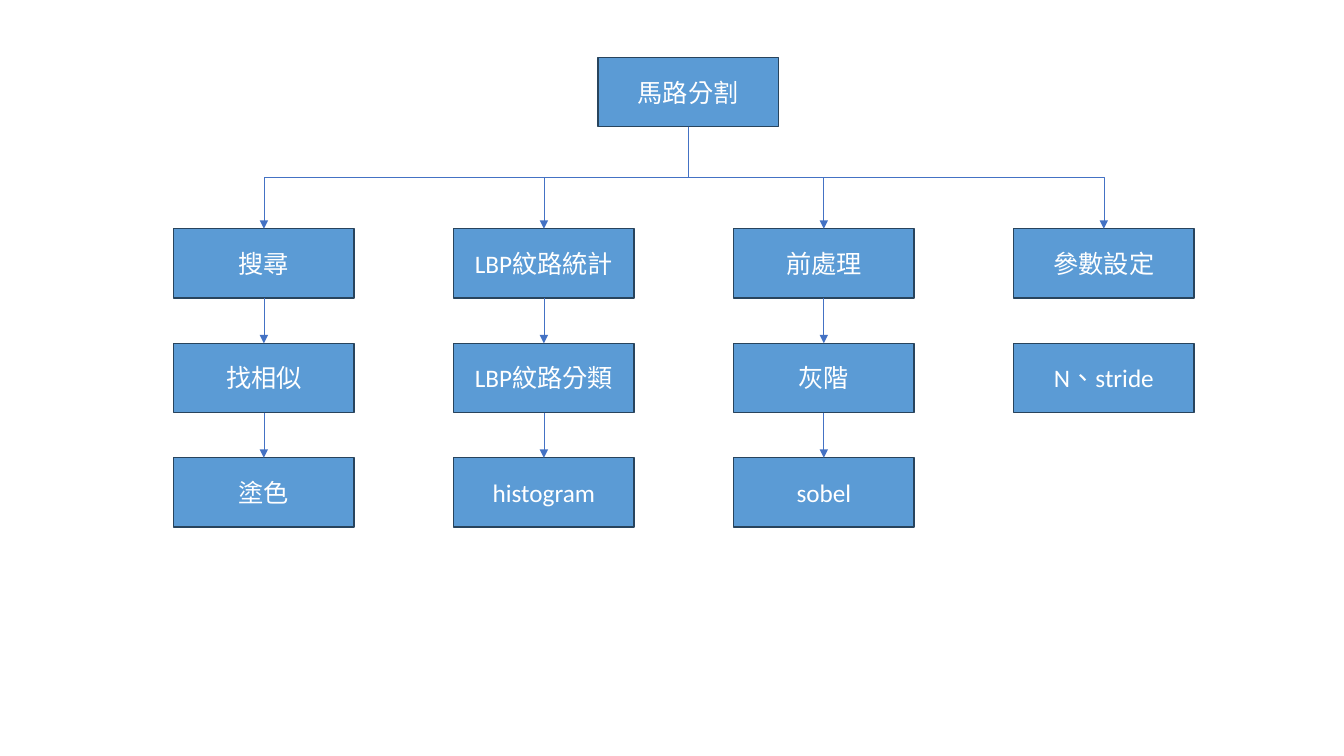
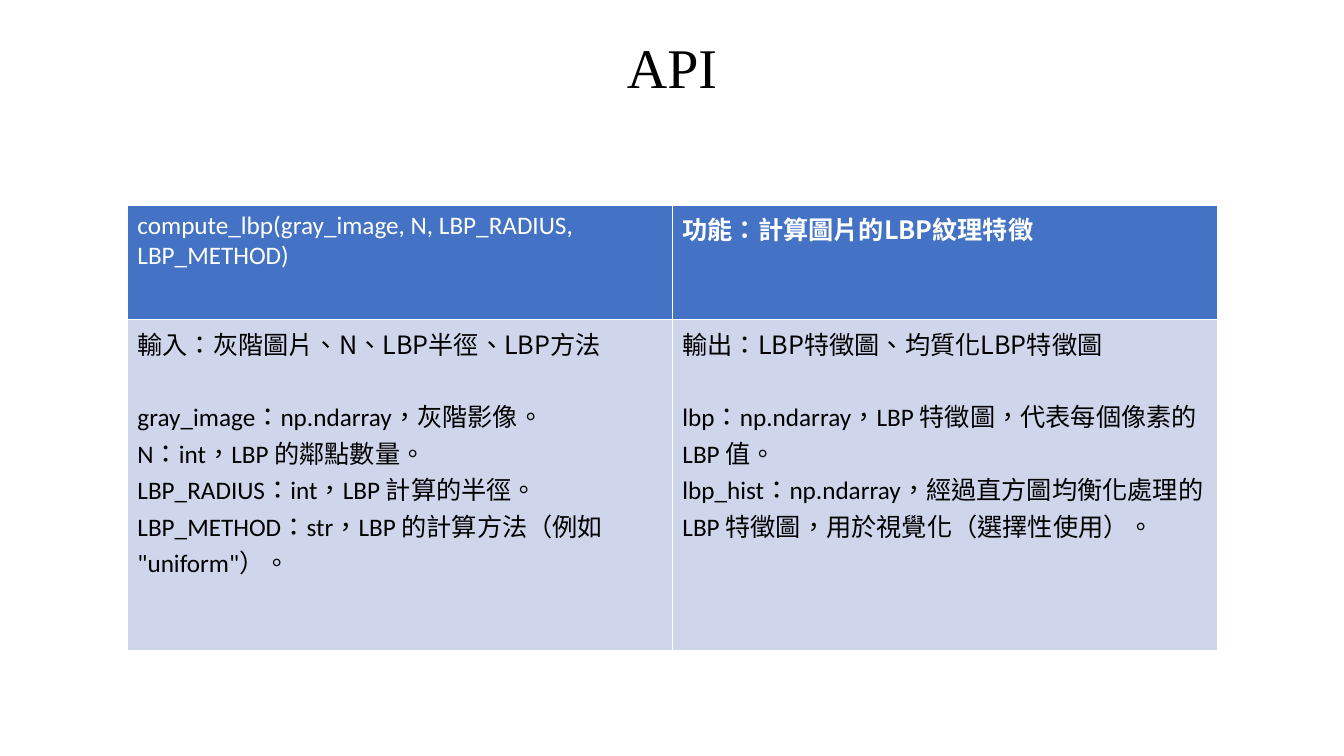
from lxml import etree
from pptx import Presentation
from pptx.dml.color import RGBColor
from pptx.enum import shapes, text
from pptx.oxml import ns
from pptx.util import Pt

WHITE = RGBColor(0xFF, 0xFF, 0xFF)
BLACK = RGBColor(0, 0, 0)
BOX_FILL = RGBColor(0x5B, 0x9B, 0xD5)
BOX_LINE = RGBColor(0x28, 0x44, 0x5D)
BLUE = RGBColor(0x44, 0x72, 0xC4)
PALE_BLUE = RGBColor(0xCF, 0xD5, 0xEA)

BODY_FONT, CJK_FONT, TITLE_FONT = "Calibri", "Noto Sans CJK SC", "Times New Roman"
BODY_SIZE = 18
BOX_WIDTH, BOX_HEIGHT = 129, 49.5
TOP_SITE, BOTTOM_SITE = 0, 2

# Each column: its box texts from top to bottom, and whether arrows join them
COLUMNS = [
    (["搜尋", "找相似", "塗色"], True),
    (["LBP紋路統計", "LBP紋路分類", "histogram"], True),
    (["前處理", "灰階", "sobel"], True),
    (["參數設定", "N、stride"], False),
]

# Each cell: paragraphs of (text, Latin font)
HEADER_CELLS = [
    [("compute_lbp(gray_image, N, LBP_RADIUS, LBP_METHOD)", BODY_FONT)],
    [("功能：計算圖片的LBP紋理特徵", CJK_FONT)],
]
DETAIL_CELLS = [
    [
        ("輸入：灰階圖片、N、LBP半徑、LBP方法", CJK_FONT),
        ("gray_image：np.ndarray，灰階影像。", BODY_FONT),
        ("N：int，LBP 的鄰點數量。", BODY_FONT),
        ("LBP_RADIUS：int，LBP 計算的半徑。", BODY_FONT),
        ("LBP_METHOD：str，LBP 的計算方法（例如 \"uniform\"）。", BODY_FONT),
    ],
    [
        ("輸出：LBP特徵圖、均質化LBP特徵圖", CJK_FONT),
        ("lbp：np.ndarray，LBP 特徵圖，代表每個像素的 LBP 值。", BODY_FONT),
        ("lbp_hist：np.ndarray，經過直方圖均衡化處理的 LBP 特徵圖，"
         "用於視覺化（選擇性使用）。", BODY_FONT),
    ],
]


def format_paragraph(paragraph, color, name=BODY_FONT, size=BODY_SIZE, bold=False):
    font = paragraph.font
    font.name, font.size, font.bold = name, Pt(size), bold
    font.color.rgb = color
    # East Asian font and language
    properties = paragraph._p.get_or_add_pPr().get_or_add_defRPr()
    properties.set("lang", "zh-TW")
    etree.SubElement(properties, ns.qn("a:ea"), typeface=CJK_FONT)


def add_box(slide, left, top, label):
    box = slide.shapes.add_shape(shapes.MSO_SHAPE.RECTANGLE, Pt(left), Pt(top),
                                 Pt(BOX_WIDTH), Pt(BOX_HEIGHT))
    box.shadow.inherit = False
    box.fill.solid()
    box.fill.fore_color.rgb = BOX_FILL
    box.line.color.rgb = BOX_LINE
    box.line.width = Pt(1)
    frame = box.text_frame
    frame.word_wrap = True
    frame.vertical_anchor = text.MSO_ANCHOR.MIDDLE
    paragraph = frame.paragraphs[0]
    paragraph.text = label
    paragraph.alignment = text.PP_ALIGN.CENTER
    format_paragraph(paragraph, WHITE)
    return box


def add_arrow(slide, upper, lower, kind):
    arrow = slide.shapes.add_connector(kind, 0, 0, 0, 0)
    arrow.begin_connect(upper, BOTTOM_SITE)
    arrow.end_connect(lower, TOP_SITE)
    arrow.line.color.rgb = BLUE
    arrow.line.width = Pt(0.5)
    line = arrow.line._get_or_add_ln()
    etree.SubElement(line, ns.qn("a:tailEnd"), type="triangle")
    etree.SubElement(arrow._element.spPr, ns.qn("a:effectLst"))
    return arrow


def add_branch(slide, root, child):
    """Elbow that leaves the root downwards: a quarter-turned elbow connector."""
    branch = add_arrow(slide, root, child, shapes.MSO_CONNECTOR.ELBOW)
    start_x = root.left + root.width // 2
    end_x = child.left + child.width // 2
    start_y, end_y = root.top + root.height, child.top
    drop, spread = end_y - start_y, abs(end_x - start_x)
    branch.left = (start_x + end_x - drop) // 2
    branch.top = (start_y + end_y - spread) // 2
    branch.width, branch.height = drop, spread
    to_right = end_x > start_x
    transform = branch._element.spPr.find(ns.qn("a:xfrm"))
    transform.set("rot", str((270 if to_right else 90) * 60000))
    transform.set("flipH", "1" if to_right else "0")


def add_column(slide, left, top, row_step, labels, joined):
    boxes = [add_box(slide, left, top + row * row_step, label)
             for row, label in enumerate(labels)]
    if joined:
        for upper, lower in zip(boxes, boxes[1:]):
            add_arrow(slide, upper, lower, shapes.MSO_CONNECTOR.STRAIGHT)
    return boxes[0]


def add_breakdown_slide(presentation, left=124, top=41, column_step=200, row_step=81.8):
    slide = presentation.slides.add_slide(presentation.slide_layouts[6])
    root = add_box(slide, left + 303, top, "馬路分割")
    for index, (labels, joined) in enumerate(COLUMNS):
        head = add_column(slide, left + index * column_step, top + 122.4,
                          row_step, labels, joined)
        add_branch(slide, root, head)


def fill_cell(cell, paragraphs, fill, color, bold=False):
    cell.fill.solid()
    cell.fill.fore_color.rgb = fill
    frame = cell.text_frame
    for index, (content, name) in enumerate(paragraphs):
        paragraph = frame.add_paragraph() if index else frame.paragraphs[0]
        paragraph.text = content
        format_paragraph(paragraph, color, name, bold=bold)
    # Gap between the summary line and the details
    if len(paragraphs) > 1:
        frame.paragraphs[0].space_after = Pt(26)


def add_title(slide, left, top, width, height, content):
    title = slide.shapes.title
    title.left, title.top, title.width, title.height = map(Pt, (left, top, width, height))
    frame = title.text_frame
    frame.auto_size = text.MSO_AUTO_SIZE.NONE
    frame.vertical_anchor = text.MSO_ANCHOR.TOP
    paragraph = frame.paragraphs[0]
    paragraph.text = content
    paragraph.alignment = text.PP_ALIGN.CENTER
    format_paragraph(paragraph, BLACK, TITLE_FONT, 40)


def add_function_table(slide, left, top, width, row_heights):
    table = slide.shapes.add_table(2, 2, Pt(left), Pt(top), Pt(width),
                                   Pt(sum(row_heights))).table
    for row, height in zip(table.rows, row_heights):
        row.height = Pt(height)
    for column in range(2):
        fill_cell(table.cell(0, column), HEADER_CELLS[column], BLUE, WHITE,
                  bold=column == 1)
        fill_cell(table.cell(1, column), DETAIL_CELLS[column], PALE_BLUE, BLACK)


def add_api_slide(presentation):
    slide = presentation.slides.add_slide(presentation.slide_layouts[5])
    add_title(slide, 150.5, 19.5, 659, 55.5, "API")
    add_function_table(slide, 91, 146.4, 778.6, (82, 236.4))


def main():
    presentation = Presentation()
    presentation.slide_width, presentation.slide_height = Pt(960), Pt(540)
    add_breakdown_slide(presentation)
    add_api_slide(presentation)
    presentation.save("out.pptx")


if __name__ == "__main__":
    main()
